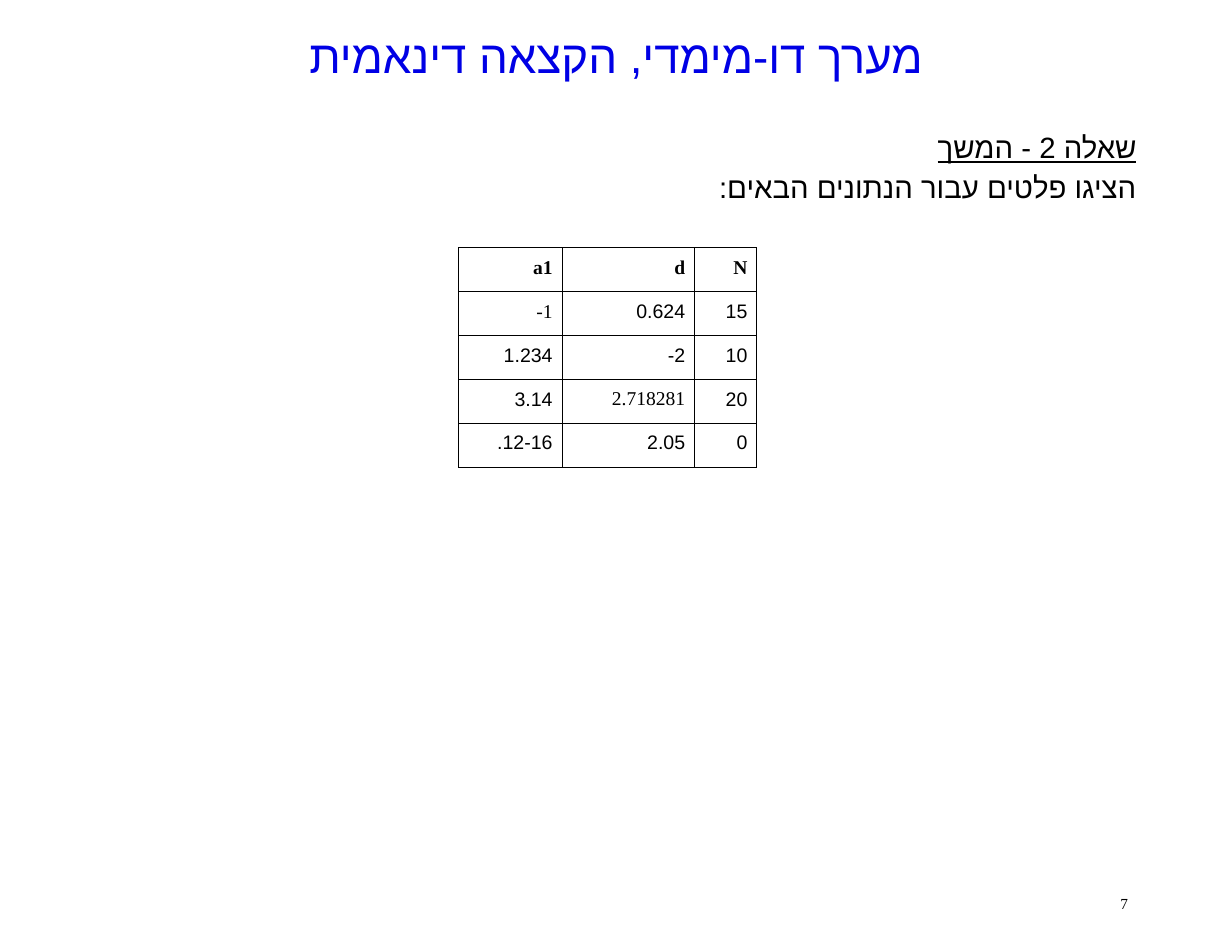
from dataclasses import dataclass

from lxml.etree import SubElement
from pptx import Presentation
from pptx.dml.color import RGBColor
from pptx.enum.text import MSO_ANCHOR as Anchor, MSO_AUTO_SIZE as AutoSize, PP_ALIGN as Align
from pptx.oxml import parse_xml
from pptx.oxml.ns import nsdecls, qn
from pptx.util import Inches, Pt

COLORS = {"text": "000000", "title": "0000E5", "border": "000000"}
SERIF, SANS, BODY = "Times New Roman", "Arial", "Calibri"
WIDTH, HEIGHT = 10.5, 8
COLUMNS = (0.88, 1.13, 0.53)
ROW_HEIGHT = 1.87 / 5
DATA = (
    ("a1", "d", "N"),
    ("-1", "0.624", "15"),
    ("1.234", "2-", "10"),
    ("3.14", "2.718281", "20"),
    ("12-16.", "2.05", "0"),
)
LTR_VALUES = {"-1", "2.718281"}


@dataclass(frozen=True)
class Box:
    left: float
    top: float
    width: float
    height: float

    def lengths(self) -> tuple:
        shares = (self.left, self.top, self.width, self.height)
        return tuple(Inches(n * side) for n, side in zip(shares, (WIDTH, HEIGHT) * 2))


@dataclass(frozen=True)
class Style:
    size: float
    font: str
    color: str = "text"
    bold: bool = False
    underline: bool = False
    align: Align = Align.RIGHT
    rtl: bool = True
    spacing: float = 1.0
    before: float = 0


def format_paragraph(p, style: Style) -> None:
    p.alignment, p.line_spacing = style.align, style.spacing
    p.space_before = Pt(style.before)
    pPr = p._p.get_or_add_pPr()
    pPr.set("rtl", str(int(style.rtl)))
    pPr.set("marL", "0")
    pPr.set("indent", "0")
    SubElement(pPr, qn("a:buNone"))
    for r in p.runs:
        font = r.font
        font.size, font.name = Pt(style.size), style.font
        font.bold, font.underline = style.bold, style.underline
        font.color.rgb = RGBColor.from_string(COLORS[style.color])
        SubElement(r._r.get_or_add_rPr(), qn("a:cs")).set("typeface", SANS)


def fill_text(sp, box: Box, text: str, styles: tuple[Style, ...], anchor=Anchor.TOP) -> None:
    sp.left, sp.top, sp.width, sp.height = box.lengths()
    tf = sp.text_frame
    tf.text = text
    tf.word_wrap, tf.auto_size, tf.vertical_anchor = True, AutoSize.NONE, anchor
    tf.margin_left = tf.margin_right = Inches(0.11)
    tf.margin_top = tf.margin_bottom = Inches(0.05)
    for p, style in zip(tf.paragraphs, styles):
        format_paragraph(p, style)


def add_borders(cell) -> None:
    tcPr = cell._tc.get_or_add_tcPr()
    for i, side in enumerate("LRTB"):
        tcPr.insert(i, parse_xml(
            f'<a:ln{side} {nsdecls("a")} w="{Pt(0.45)}"><a:solidFill>'
            f'<a:srgbClr val="{COLORS["border"]}"/></a:solidFill></a:ln{side}>'))


def add_data_table(slide, box: Box) -> None:
    table = slide.shapes.add_table(len(DATA), len(COLUMNS), *box.lengths()).table
    table.first_row = table.horz_banding = False
    for column, width in zip(table.columns, COLUMNS):
        column.width = Inches(width)
    for i, values in enumerate(DATA):
        table.rows[i].height = Inches(ROW_HEIGHT)
        for j, value in enumerate(values):
            cell = table.cell(i, j)
            cell.text_frame.text = value
            cell.margin_left = cell.margin_right = Inches(0.08)
            cell.margin_top = cell.margin_bottom = Inches(0.05)
            cell.fill.background()
            add_borders(cell)
            style = Style(12, SERIF, bold=i == 0, rtl=value not in LTR_VALUES, spacing=1.15)
            format_paragraph(cell.text_frame.paragraphs[0], style)


def main() -> None:
    prs = Presentation()
    prs.slide_width, prs.slide_height = Inches(WIDTH), Inches(HEIGHT)
    slide = prs.slides.add_slide(prs.slide_layouts[1])
    title, body = slide.placeholders

    fill_text(title, Box(0, 0, 1, 0.094), "מערך דו-מימדי, הקצאה דינאמית",
              (Style(28, SERIF, "title", align=Align.CENTER, rtl=False),), Anchor.BOTTOM)
    fill_text(body, Box(0.043, 0.136, 0.89, 0.788),
              "שאלה 2 - המשך\nהציגו פלטים עבור הנתונים הבאים:",
              (Style(18, BODY, underline=True, spacing=0.9, before=4.5),
               Style(18, BODY, spacing=0.9, before=4.5)))
    add_data_table(slide, Box(3.91 / WIDTH, 2.11 / HEIGHT,
                              sum(COLUMNS) / WIDTH, len(DATA) * ROW_HEIGHT / HEIGHT))
    number_box = Box(0.717, 0.95, 0.209, 0.034)
    number = slide.shapes.add_textbox(*number_box.lengths())
    fill_text(number, number_box, "7",
              (Style(9.4, SERIF, rtl=False, spacing=0.8, before=9.4),))
    prs.save("out.pptx")


if __name__ == "__main__":
    main()
